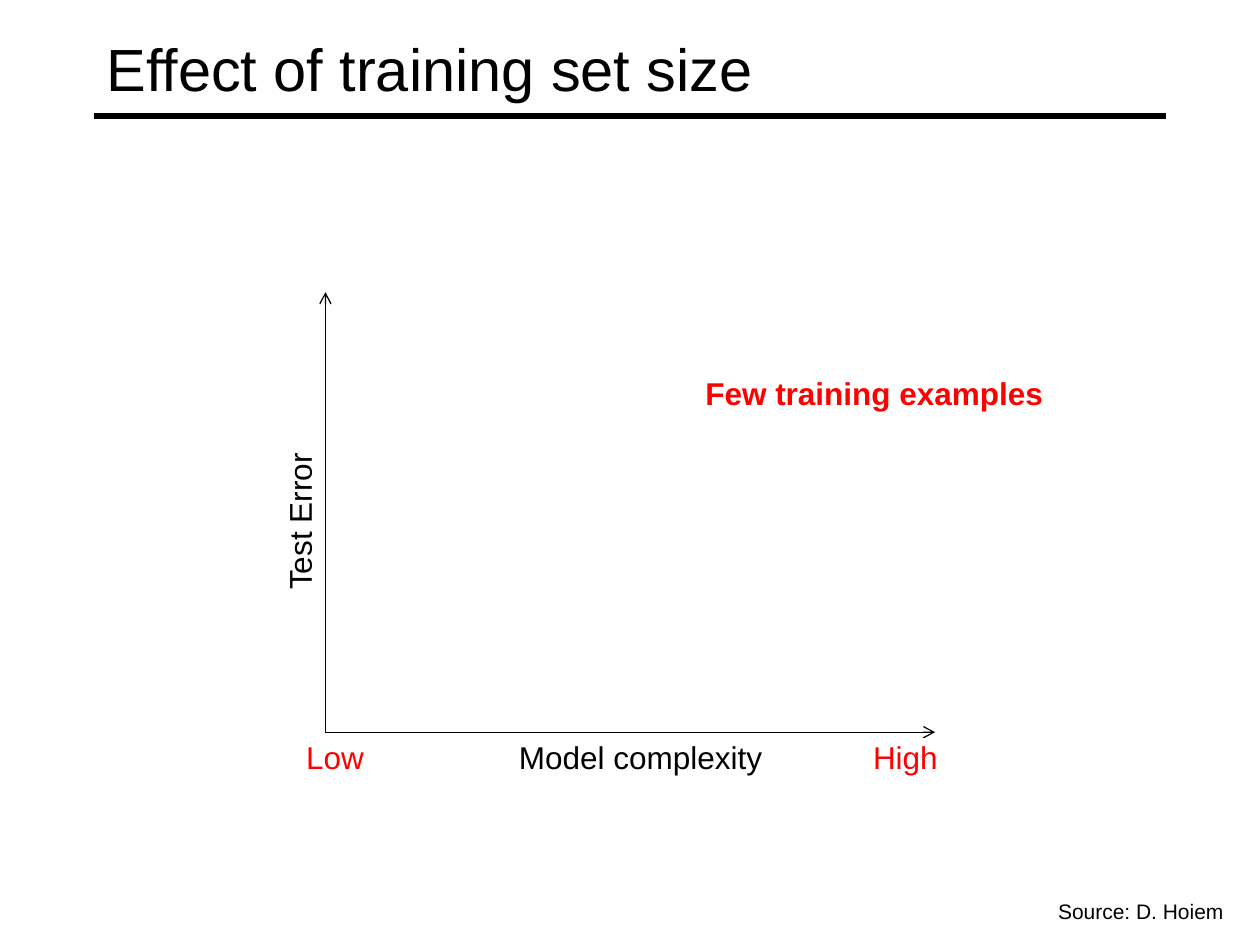
from dataclasses import dataclass

from lxml.etree import SubElement
from pptx import Presentation
from pptx.dml.color import RGBColor
from pptx.enum.shapes import MSO_CONNECTOR
from pptx.enum.text import MSO_ANCHOR
from pptx.oxml.ns import qn
from pptx.util import Cm, Pt


@dataclass(frozen=True)
class Theme:
    font: str = "Arial"
    ink: RGBColor = RGBColor(0, 0, 0)
    red: RGBColor = RGBColor(255, 0, 0)
    head: Pt = Pt(34)
    body: Pt = Pt(18)
    small: Pt = Pt(12)
    thick: Pt = Pt(3)
    thin: Pt = Pt(0.75)


theme = Theme()


def add_text(shapes, text, area, size, color, bold=False, frame=None):
    box = shapes.add_textbox(*map(Cm, area))
    for name, value in {"word_wrap": False, **(frame or {})}.items():
        setattr(box.text_frame, name, value)
    run = box.text_frame.paragraphs[0].add_run()
    run.text = text
    look = {"name": theme.font, "size": size, "bold": bold}
    for name, value in look.items():
        setattr(run.font, name, value)
    run.font.color.rgb = color
    return box


def add_line(shapes, start, end, width, arrow=False):
    line = shapes.add_connector(
        MSO_CONNECTOR.STRAIGHT, *map(Cm, (*start, *end)))
    line.line.color.rgb = theme.ink
    line.line.width = width
    if arrow:
        SubElement(line.line._get_or_add_ln(), qn("a:tailEnd"), type="arrow")
    SubElement(line._element.spPr, qn("a:effectLst"))


deck = Presentation()
for name, value in {"slide_width": Cm(25.4), "slide_height": Cm(19.05)}.items():
    setattr(deck, name, value)
slide = deck.slides.add_slide(deck.slide_layouts[6])
shapes = slide.shapes

# Title and rule
add_line(shapes, (1.9, 2.34), (23.5, 2.34), theme.thick)
add_text(shapes, "Effect of training set size", (1.9, 0.2, 21.6, 2.34),
         theme.head, theme.ink,
         frame={"word_wrap": True, "vertical_anchor": MSO_ANCHOR.MIDDLE})

# Curve name
add_text(shapes, "Few training examples", (13.97, 7.42, 7.39, 1.02),
         theme.body, theme.red, bold=True)

# Axes
plot = shapes.add_group_shape().shapes
base = (6.56, 14.76)
for tip in ((base[0], 5.89), (18.85, base[1])):
    add_line(plot, base, tip, theme.thin, arrow=True)

# Axis labels
labels = [
    ("Model complexity", 10.21, base[1], 5.46, theme.ink, 0),
    ("High", 17.35, base[1], 1.83, theme.red, 0),
    ("Low", 5.92, base[1], 1.73, theme.red, 0),
    ("Test Error", 4.39, 9.98, 3.3, theme.ink, 270),
]
for text, left, top, width, color, turn in labels:
    label = add_text(plot, text, (left, top, width, 1.02), theme.body, color)
    label.rotation = turn

# Source
add_text(shapes, "Source: D. Hoiem", (21.08, 17.98, 3.89, 0.76),
         theme.small, theme.ink)

deck.save("out.pptx")
